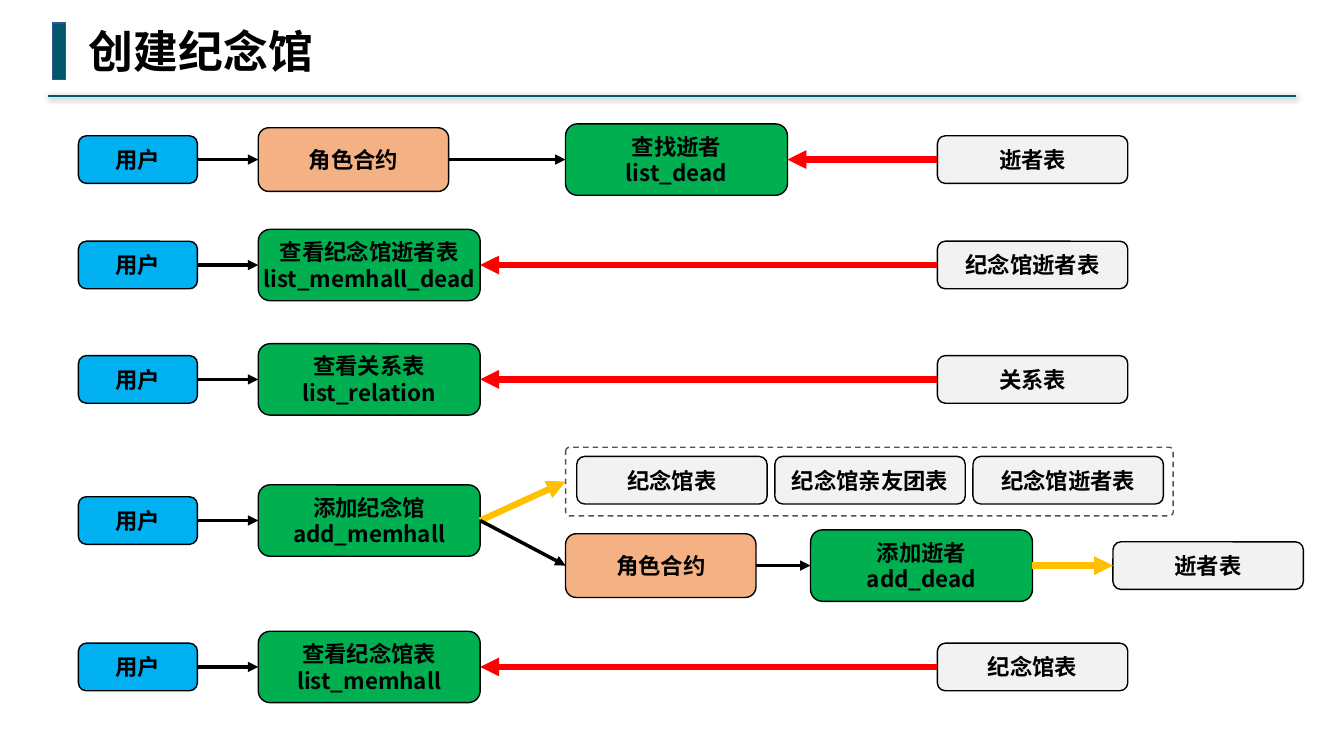
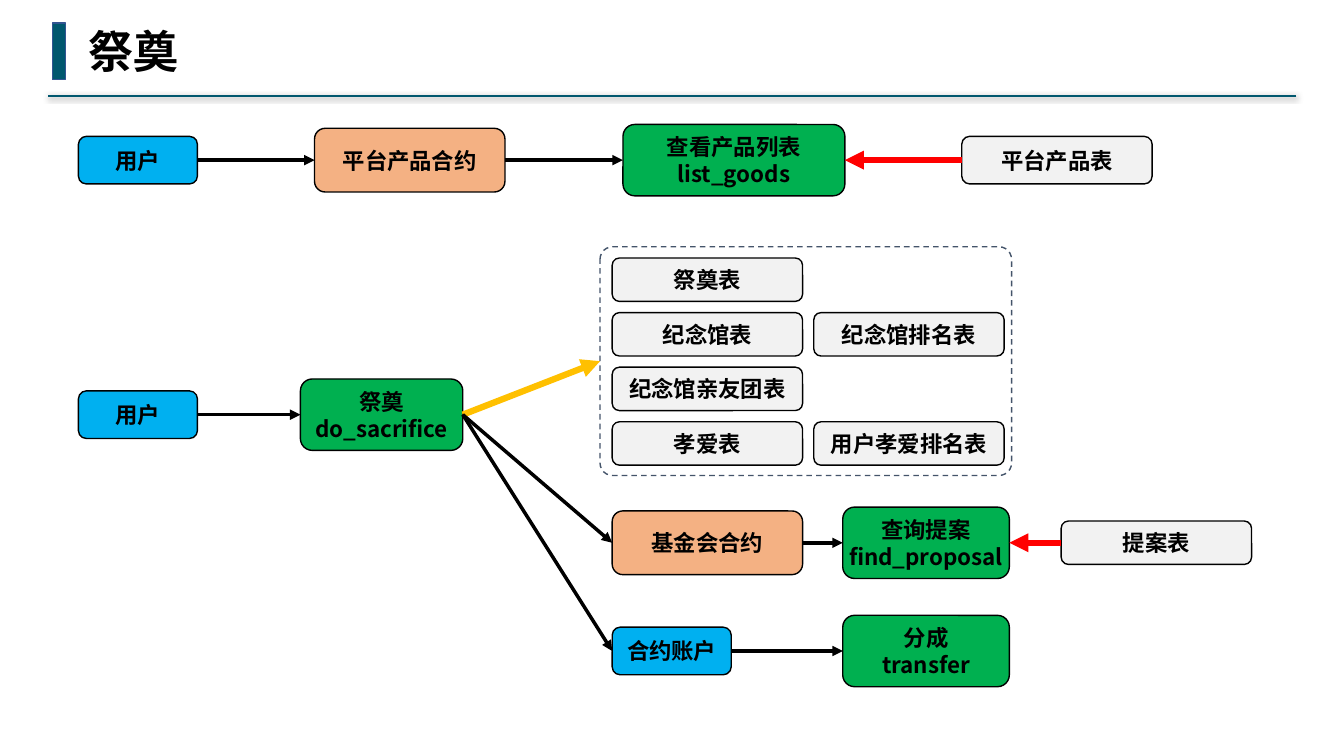
from dataclasses import dataclass, replace

import lxml.etree
import pptx
import pptx.dml.color
import pptx.enum.dml
import pptx.enum.shapes
import pptx.enum.text
import pptx.oxml.ns
import pptx.util

Pt = pptx.util.Pt
RGBColor = pptx.dml.color.RGBColor
qn = pptx.oxml.ns.qn
Shape = pptx.enum.shapes.MSO_SHAPE
Align = pptx.enum.text.PP_ALIGN
Anchor = pptx.enum.text.MSO_ANCHOR

BLACK = RGBColor(0x00, 0x00, 0x00)
TEAL = RGBColor(0x00, 0x57, 0x6E)
NAVY = RGBColor(0x32, 0x54, 0x91)
SLATE = RGBColor(0x44, 0x54, 0x6A)
BLUE = RGBColor(0x00, 0xB0, 0xF0)
GREEN = RGBColor(0x00, 0xB0, 0x50)
ORANGE = RGBColor(0xF4, 0xB1, 0x83)
GREY = RGBColor(0xF2, 0xF2, 0xF2)
RED = RGBColor(0xFF, 0x00, 0x00)
GOLD = RGBColor(0xFF, 0xC0, 0x00)

BODY_FONT = "Noto Sans CJK SC"
TITLE_FONT = "Courier New"
LEFT_SITE, RIGHT_SITE = 1, 3


@dataclass(frozen=True)
class BoxStyle:
    fill: RGBColor
    width: float
    height: float


@dataclass(frozen=True)
class Link:
    color: RGBColor
    width: float
    backward: bool = False


@dataclass(frozen=True)
class Box:
    """A box of a row; link is the arrow between it and the box before."""
    style: BoxStyle
    left: float
    text: str
    link: Link | None = None


USER = BoxStyle(BLUE, 85, 34)
CONTRACT = BoxStyle(ORANGE, 136, 45.5)
FUNCTION = BoxStyle(GREEN, 158.5, 51)
TABLE = BoxStyle(GREY, 136, 34)
SHORT_TABLE = replace(TABLE, height=31)
NARROW_FUNCTION = replace(FUNCTION, width=119)

CALL = Link(BLACK, 2.5)
READ = Link(RED, 4.5, backward=True)
WRITE = Link(GOLD, 4.5)

USER_BOX = Box(USER, 56, "用户")


def write_text(frame, text: str, *, size: float, font: str, align=Align.LEFT,
               anchor=Anchor.TOP, inset: float | None = None) -> None:
    frame.word_wrap = False
    frame.vertical_anchor = anchor
    if inset is not None:
        frame.margin_left = frame.margin_right = Pt(inset)
        frame.margin_top = frame.margin_bottom = Pt(inset)
    for index, line in enumerate(text.split("\n")):
        paragraph = frame.add_paragraph() if index else frame.paragraphs[0]
        paragraph.alignment = align
        run = paragraph.add_run()
        run.text = line
        run.font.size = Pt(size)
        run.font.bold = True
        run.font.color.rgb = BLACK
        run.font.name = font
        latin = run.font._element.find(qn("a:latin"))
        east_asian = lxml.etree.Element(qn("a:ea"), typeface=BODY_FONT)
        latin.addnext(east_asian)


def add_outlined(shapes, preset, left: float, top: float, width: float,
                 height: float, *, fill: RGBColor | None, line: RGBColor):
    shape = shapes.add_shape(preset, Pt(left), Pt(top), Pt(width), Pt(height))
    shape.shadow.inherit = False
    if fill is None:
        shape.fill.background()
    else:
        shape.fill.solid()
        shape.fill.fore_color.rgb = fill
    shape.line.color.rgb = line
    shape.line.width = Pt(1)
    return shape


def add_box(shapes, box: Box, middle: float):
    style = box.style
    shape = add_outlined(shapes, Shape.ROUNDED_RECTANGLE, box.left,
                         middle - style.height / 2, style.width, style.height,
                         fill=style.fill, line=BLACK)
    write_text(shape.text_frame, box.text, size=16, font=BODY_FONT,
               align=Align.CENTER, anchor=Anchor.MIDDLE, inset=2.88)
    return shape


def add_line(shapes, start: tuple[float, float], end: tuple[float, float],
             color: RGBColor, width: float):
    """Draw a straight line and return it with its empty effect list."""
    line = shapes.add_connector(pptx.enum.shapes.MSO_CONNECTOR.STRAIGHT,
                                Pt(start[0]), Pt(start[1]), Pt(end[0]), Pt(end[1]))
    line.line.color.rgb = color
    line.line.width = Pt(width)
    effects = lxml.etree.SubElement(line.element.spPr, qn("a:effectLst"))
    return line, effects


def connect(slide, before, after, link: Link) -> None:
    """Join the right side of one shape to the left side of the next."""
    ends = [(before, RIGHT_SITE), (after, LEFT_SITE)]
    if link.backward:
        ends.reverse()
    arrow, _ = add_line(slide.shapes, (0, 0), (0, 0), link.color, link.width)
    arrow.begin_connect(*ends[0])
    arrow.end_connect(*ends[1])
    outline = arrow.element.spPr.find(qn("a:ln"))
    lxml.etree.SubElement(outline, qn("a:tailEnd"), type="triangle")


def add_row(slide, middle: float, *boxes: Box) -> list:
    """Draw boxes on one centre line, joined by their links."""
    row = []
    for box in boxes:
        shape = add_box(slide.shapes, box, middle)
        if box.link:
            connect(slide, row[-1], shape, box.link)
        row.append(shape)
    return row


def add_table_group(slide, left: float, top: float, width: float, height: float,
                    tables: list[tuple[Box, float]]):
    """Draw a dashed frame around tables and return the frame."""
    group = slide.shapes.add_group_shape()
    frame = add_outlined(group.shapes, Shape.ROUNDED_RECTANGLE, left, top, width,
                         height, fill=None, line=SLATE)
    frame.adjustments[0] = 0.055
    frame.line.dash_style = pptx.enum.dml.MSO_LINE.DASH
    for box, middle in tables:
        add_box(group.shapes, box, middle)
    return frame


def add_titled_slide(presentation, text: str, title_width: float):
    slide = presentation.slides.add_slide(presentation.slide_layouts[5])
    _, effects = add_line(slide.shapes, (926, 68.5), (34, 68.5), TEAL, 1.5)
    shadow = lxml.etree.SubElement(
        effects, qn("a:outerShdw"), blurRad=str(Pt(4)), dist=str(Pt(1)),
        dir="5400000", algn="t", rotWithShape="0")
    color = lxml.etree.SubElement(shadow, qn("a:srgbClr"), val=str(BLACK))
    lxml.etree.SubElement(color, qn("a:alpha"), val="40000")
    add_outlined(slide.shapes, Shape.RECTANGLE, 37.3, 16.4, 9.5, 40.5,
                 fill=TEAL, line=NAVY)

    title = slide.shapes.title
    title.left, title.top = Pt(56.2), Pt(13.5)
    title.width, title.height = Pt(title_width), Pt(46)
    write_text(title.text_frame, text, size=32, font=TITLE_FONT)
    title.text_frame.auto_size = pptx.enum.text.MSO_AUTO_SIZE.SHAPE_TO_FIT_TEXT
    return slide


def build_memorial_slide(presentation) -> None:
    slide = add_titled_slide(presentation, "创建纪念馆", 176.4)
    function_left, table_left, branch_left = 184.5, 669.6, 404
    add_row(slide, 114, USER_BOX,
            Box(CONTRACT, function_left, "角色合约", CALL),
            Box(FUNCTION, branch_left, "查找逝者\nlist_dead", CALL),
            Box(TABLE, table_left, "逝者表", READ))
    for middle, function, table in (
            (189.3, "查看纪念馆逝者表\nlist_memhall_dead", "纪念馆逝者表"),
            (271, "查看关系表\nlist_relation", "关系表"),
            (476.4, "查看纪念馆表\nlist_memhall", "纪念馆表")):
        add_row(slide, middle, USER_BOX,
                Box(FUNCTION, function_left, function, CALL),
                Box(TABLE, table_left, table, READ))

    _, add_memorial = add_row(
        slide, 371.8, USER_BOX,
        Box(FUNCTION, function_left, "添加纪念馆\nadd_memhall", CALL))
    names = ("纪念馆表", "纪念馆亲友团表", "纪念馆逝者表")
    tables = [(Box(TABLE, 412 + 141.5 * column, name), 343)
              for column, name in enumerate(names)]
    frame = add_table_group(slide, branch_left, 319.5, 434, 49, tables)
    contract, *_ = add_row(
        slide, 404, Box(CONTRACT, branch_left, "角色合约"),
        Box(FUNCTION, 579, "添加逝者\nadd_dead", CALL),
        Box(TABLE, 795, "逝者表", WRITE))
    connect(slide, add_memorial, frame, WRITE)
    connect(slide, add_memorial, contract, CALL)


def build_sacrifice_slide(presentation) -> None:
    slide = add_titled_slide(presentation, "祭奠", 79.2)
    add_row(slide, 114.4, USER_BOX,
            Box(CONTRACT, 224.7, "平台产品合约", CALL),
            Box(FUNCTION, 445, "查看产品列表\nlist_goods", CALL),
            Box(TABLE, 687, "平台产品表", READ))
    _, sacrifice = add_row(
        slide, 296.2, USER_BOX,
        Box(replace(FUNCTION, width=116), 214.6, "祭奠\ndo_sacrifice", CALL))

    branch_left, function_left = 437.3, 602
    columns = (
        (branch_left, ((0, "祭奠表"), (1, "纪念馆表"),
                       (2, "纪念馆亲友团表"), (3, "孝爱表"))),
        (581.3, ((1, "纪念馆排名表"), (3, "用户孝爱排名表"))))
    tables = [(Box(SHORT_TABLE, left, name), 199.8 + 39 * row)
              for left, cells in columns for row, name in cells]
    frame = add_table_group(slide, 428.6, 176.3, 294, 163.4, tables)
    contract, *_ = add_row(
        slide, 387.7, Box(CONTRACT, branch_left, "基金会合约"),
        Box(NARROW_FUNCTION, function_left, "查询提案\nfind_proposal", CALL),
        Box(SHORT_TABLE, 758, "提案表", READ))
    account, _ = add_row(
        slide, 465, Box(USER, branch_left, "合约账户"),
        Box(NARROW_FUNCTION, function_left, "分成\ntransfer", CALL))
    connect(slide, sacrifice, frame, WRITE)
    connect(slide, sacrifice, contract, CALL)
    connect(slide, sacrifice, account, CALL)


def main() -> None:
    presentation = pptx.Presentation()
    presentation.slide_width, presentation.slide_height = Pt(960), Pt(540)
    build_memorial_slide(presentation)
    build_sacrifice_slide(presentation)
    presentation.save("out.pptx")


if __name__ == "__main__":
    main()
